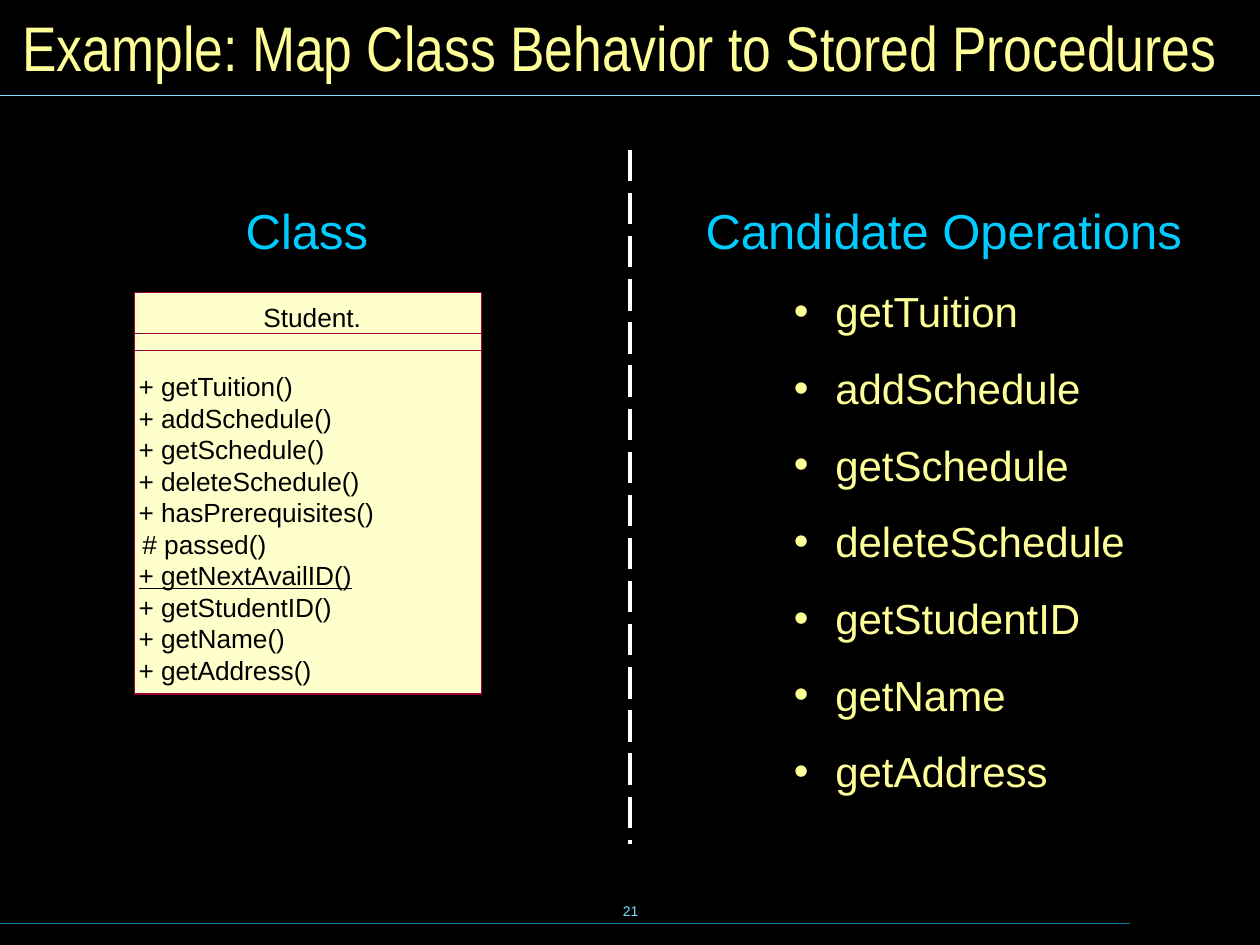
"""Build a slide that maps the Student class behavior to stored procedures."""
from lxml import etree
from pptx import Presentation
from pptx.dml.color import RGBColor
from pptx.enum import dml, shapes, text
from pptx.oxml import ns
from pptx.util import Inches, Pt

TITLE = "Example: Map Class Behavior to Stored Procedures"
PAGE = "21"
HEADINGS = [("Class", 1.83, 1.21), ("Candidate Operations", 5.48, 4.01)]
CLASS_NAME = "Student."
METHODS = ["+ getTuition()", "+ addSchedule()", "+ getSchedule()", "+ deleteSchedule()",
           "+ hasPrerequisites()", "# passed()", "+ getNextAvailID()", "+ getStudentID()",
           "+ getName()", "+ getAddress()"]
STATIC_METHODS = {"+ getNextAvailID()"}
OPERATIONS = ["getTuition", "addSchedule", "getSchedule", "deleteSchedule",
              "getStudentID", "getName", "getAddress"]
RULES = [((0, 7.33), (8.97, 7.33), "007E9F", 0.75, None),
         ((0, 0.76), (10, 0.76), "73E1FF", 0.75, None),
         ((5, 1.19), (5, 6.7), "FFFFFF", 2.25, dml.MSO_LINE.LONG_DASH)]
CLASS_LEFT, CLASS_WIDTH, CLASS_BOTTOM = 1.07, 2.75, 5.51
COMPARTMENTS = [(2.32, "FFFFCC"), (2.65, None), (2.78, None)]
METHOD_TOP, METHOD_PITCH = 2.94, 0.25
YELLOW, CYAN, BLACK = "FFFF99", "00CCFF", "000000"


def rgb(value):
    return RGBColor.from_string(value)


def add_rule(slide, start, end, color, width, dash):
    rule = slide.shapes.add_connector(shapes.MSO_CONNECTOR.STRAIGHT,
                                      *map(Inches, start + end))
    rule.line.color.rgb = rgb(color)
    rule.line.width = Pt(width)
    if dash:
        rule.line.dash_style = dash
    etree.SubElement(rule._element.spPr, ns.qn("a:effectLst"))


def add_compartment(slide, top, fill):
    box = slide.shapes.add_shape(shapes.MSO_SHAPE.RECTANGLE, Inches(CLASS_LEFT), Inches(top),
                                 Inches(CLASS_WIDTH), Inches(CLASS_BOTTOM - top))
    box.shadow.inherit = False
    if fill:
        box.fill.solid()
        box.fill.fore_color.rgb = rgb(fill)
    else:
        box.fill.background()
    box.line.color.rgb = rgb("990033")
    box.line.width = Pt(0)


def add_bullet(paragraph, color):
    props = paragraph._p.get_or_add_pPr()
    props.set("marL", str(Inches(0.33)))
    props.set("indent", str(-Inches(0.33)))
    bullet_color = etree.SubElement(props, ns.qn("a:buClr"))
    etree.SubElement(bullet_color, ns.qn("a:srgbClr"), val=color)
    etree.SubElement(props, ns.qn("a:buFont"), typeface="Arial")
    etree.SubElement(props, ns.qn("a:buChar"), char="•")


def add_text(slide, lines, place, size, color, face="Arial", inset=(0, 0, 0), wrap=True,
             middle=False, centered=False, underline=False, bullets=False, gap=0):
    frame = slide.shapes.add_textbox(*map(Inches, place)).text_frame
    frame.word_wrap = wrap
    frame.margin_left, frame.margin_top, frame.margin_right = map(Inches, inset)
    frame.margin_bottom = frame.margin_top
    frame.vertical_anchor = text.MSO_ANCHOR.MIDDLE if middle else text.MSO_ANCHOR.TOP
    for index, line in enumerate(lines):
        paragraph = frame.add_paragraph() if index else frame.paragraphs[0]
        if bullets:
            add_bullet(paragraph, color)
        if index:
            paragraph.space_before = Pt(gap)
        paragraph.alignment = text.PP_ALIGN.CENTER if centered else text.PP_ALIGN.LEFT
        run = paragraph.add_run()
        run.text = line
        run.font.name = face
        run.font.size = Pt(size)
        run.font.color.rgb = rgb(color)
        if underline:
            run.font.underline = True


def main():
    deck = Presentation()
    deck.slide_width, deck.slide_height = Inches(10), Inches(7.5)
    slide = deck.slides.add_slide(deck.slide_layouts[6])
    slide.background.fill.solid()
    slide.background.fill.fore_color.rgb = rgb(BLACK)

    for rule in RULES:
        add_rule(slide, *rule)
    add_text(slide, [PAGE], (3.42, 6.98, 3.17, 0.5), 8, "73E1FF",
             inset=(0.1, 0.05, 0.1), middle=True, centered=True)
    add_text(slide, [TITLE], (0.08, 0.08, 9.84, 0.58), 36, YELLOW, "Arial Narrow",
             inset=(0.1, 0.05, 0.1), middle=True)

    for top, fill in COMPARTMENTS:
        add_compartment(slide, top, fill)
    add_text(slide, [CLASS_NAME], (2.09, 2.39, 0.78, 0.25), 15, BLACK, wrap=False)
    for row, method in enumerate(METHODS):
        left = 1.13 if method.startswith("#") else 1.1
        add_text(slide, [method], (left, METHOD_TOP + row * METHOD_PITCH, 1.9, 0.25), 15, BLACK,
                 underline=method in STATIC_METHODS)

    for heading, left, width in HEADINGS:
        add_text(slide, [heading], (left, 1.53, width, 0.59), 28, CYAN, inset=(0.12, 0.06, 0))
    add_text(slide, OPERATIONS, (6.18, 2.21, 3.5, 4.17), 24, YELLOW,
             inset=(0.12, 0.06, 0.12), bullets=True, gap=15)
    deck.save("out.pptx")


if __name__ == "__main__":
    main()
